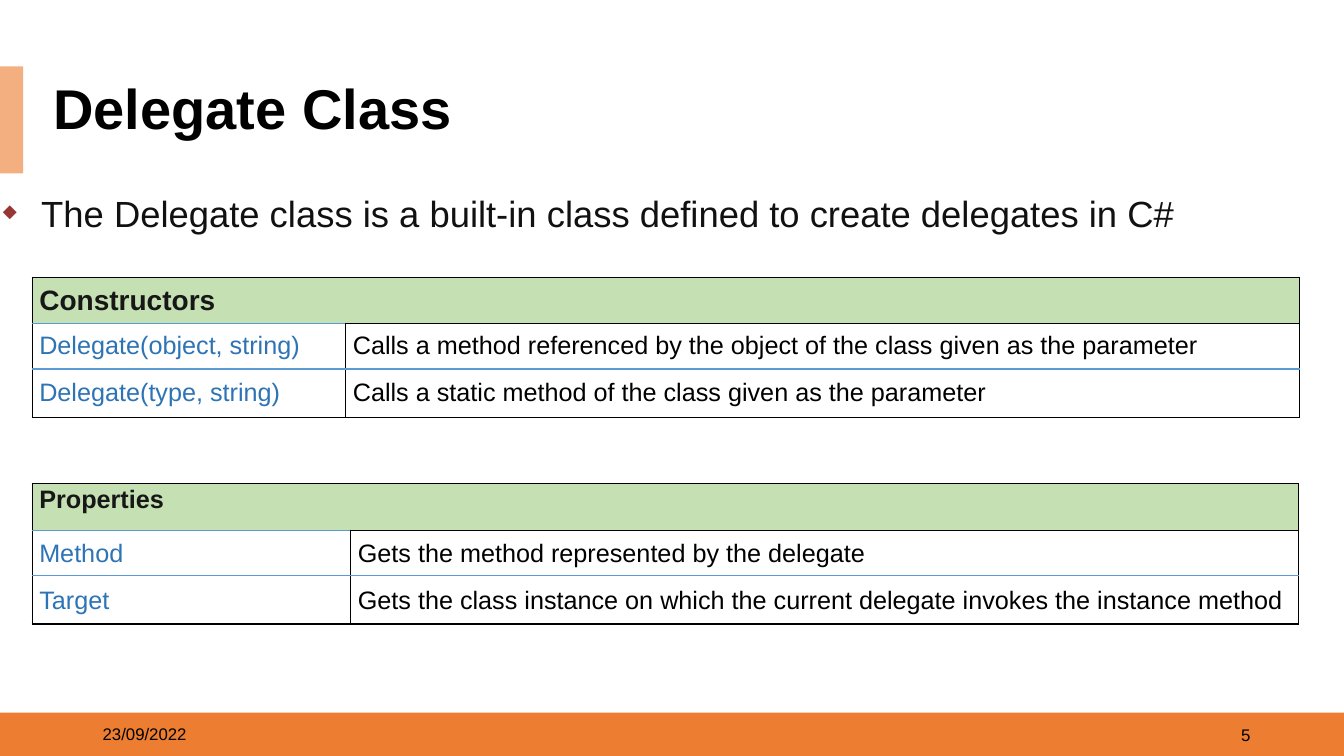
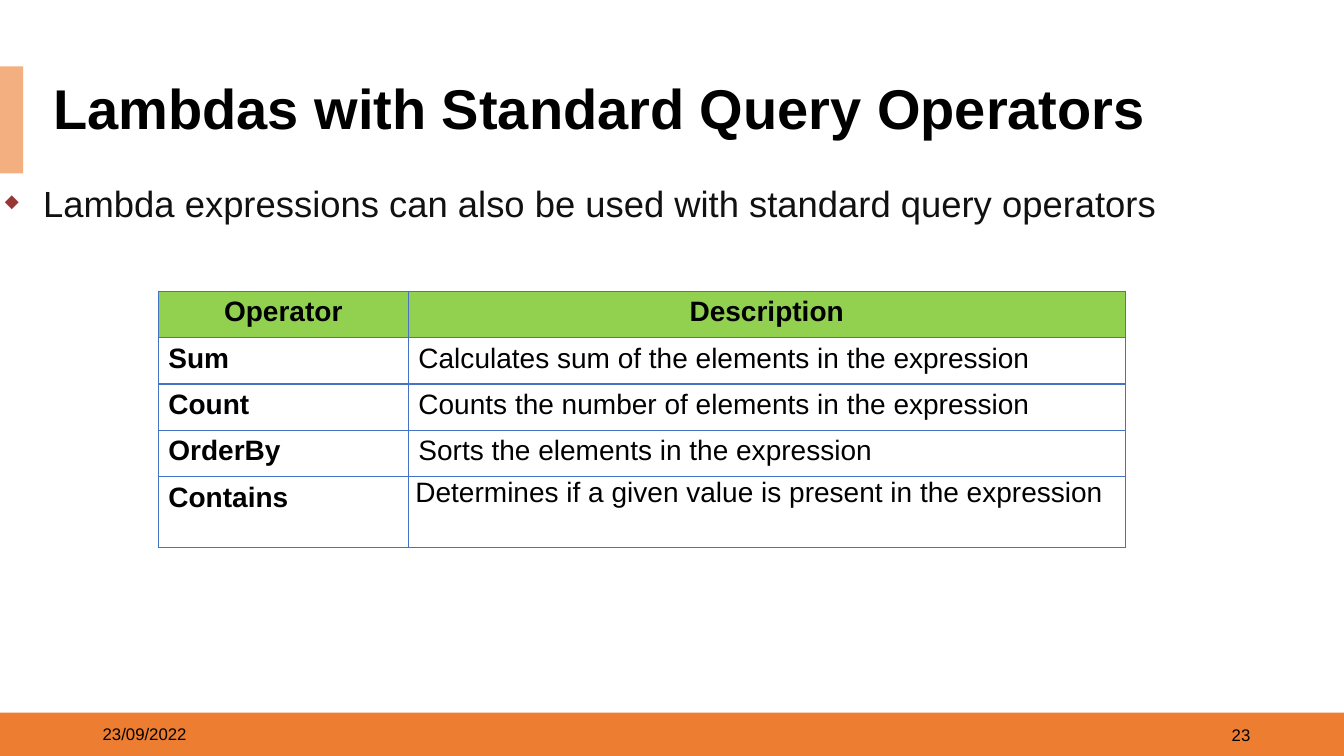
from lxml import etree
from pptx import Presentation
from pptx import util as u
from pptx.dml import color
from pptx.enum import shapes, text
from pptx.oxml import ns

Inches = u.Inches
BLACK, WHITE, INK = "000000", "FFFFFF", "111111"
BAND, ACCENT, BULLET = "ED7D31", "F4AF80", "973735"
BLUE, RULE, HEAD_INK, HEAD = "2E74B5", "5B9BD5", "171717", "C5E0B3"
GRID, GREEN = "4472C4", "92D050"
ALIGN = text.PP_ALIGN
TOP, MIDDLE = text.MSO_ANCHOR.TOP, text.MSO_ANCHOR.MIDDLE


def rgb(value):
    return color.RGBColor.from_string(value)


def write(frame, words, size, ink, bold=False, **formats):
    """Put one formatted paragraph in a text frame."""
    frame.word_wrap = True
    para = frame.paragraphs[0]
    for name, value in formats.items():
        setattr(para, name, value)
    span = para.add_run()
    span.text = words
    for name, value in {"name": "Arial", "size": u.Pt(size), "bold": bold}.items():
        setattr(span.font, name, value)
    span.font.color.rgb = rgb(ink)
    return para


# Table styles: text formats for the header and the body
narrow = {"margin_left": Inches(0.07), "margin_right": Inches(0.07),
          "margin_top": 0, "margin_bottom": 0}
loose = {"line_spacing": 1.07}
member_style = {"merge": True, "fill": HEAD, "edge": BLACK, "rule": RULE,
                "head_ink": HEAD_INK, "key_ink": BLUE, "key_bold": False,
                "size": 18, "anchor": MIDDLE, "margins": narrow}
operator_style = {"merge": False, "fill": GREEN, "edge": GRID, "rule": GRID,
                  "head_ink": BLACK, "key_ink": BLACK, "key_bold": True,
                  "head_size": 20, "size": 20, "anchor": TOP, "head_anchor": TOP,
                  "margins": {}, "head": {"alignment": ALIGN.CENTER}, "body": {}}

pages = [
    {"title": "Delegate Class", "width": 12.45, "number": "5",
     "bullet": "The Delegate class is a built-in class defined to create delegates in C#",
     "bullet_at": (-0.07, 1.63, 12.72, 0.68),
     "bullet_space": {"space_before": u.Pt(6), "space_after": u.Pt(6)},
     "tables": [
         {**member_style, "at": (0.32, 4.8), "columns": (3.16, 9.4),
          "heights": (0.46, 0.45, 0.48), "head_size": 18, "head_anchor": TOP,
          "head": loose, "body": {**loose, "space_after": u.Pt(8)},
          "rows": [("Properties", ""),
                   ("Method", "Gets the method represented by the delegate"),
                   ("Target", "Gets the class instance on which the current "
                              "delegate invokes the instance method")]},
         {**member_style, "at": (0.32, 2.75), "columns": (3.11, 9.46),
          "heights": (0.46, 0.45, 0.48), "head_size": 20, "head_anchor": MIDDLE,
          "head": {}, "body": {"alignment": ALIGN.JUSTIFY},
          "rows": [("Constructors", ""),
                   ("Delegate(object, string)", "Calls a method referenced by the "
                    "object of the class given as the parameter"),
                   ("Delegate(type, string)", "Calls a static method of the class "
                    "given as the parameter")]}]},
    {"title": "Lambdas with Standard Query Operators", "width": 12.2, "number": "23",
     "bullet": "Lambda expressions can also be used with standard query operators",
     "bullet_at": (-0.05, 1.53, 12.34, 0.69),
     "bullet_space": {"space_before": u.Pt(10)},
     "tables": [
         {**operator_style, "at": (1.57, 2.89), "columns": (2.48, 7.11),
          "heights": (0.46, 0.46, 0.46, 0.46, 0.7),
          "tight_cell": (4, 1),
          "rows": [("Operator", "Description"),
                   ("Sum", "Calculates sum of the elements in the expression"),
                   ("Count", "Counts the number of elements in the expression"),
                   ("OrderBy", "Sorts the elements in the expression"),
                   ("Contains", "Determines if a given value is present in the "
                                "expression")]}]},
]

deck = Presentation()
deck.slide_width, deck.slide_height = Inches(13.33), Inches(7.5)

for content in pages:
    page = deck.slides.add_slide(deck.slide_layouts[5])

    # Footer band and title accent
    for at, fill in (((0, 7.07, 13.33, 0.44), BAND), ((0, 0.66, 0.23, 1.06), ACCENT)):
        band = page.shapes.add_shape(shapes.MSO_SHAPE.RECTANGLE, *map(Inches, at))
        band.shadow.inherit = False
        band.fill.solid()
        band.fill.fore_color.rgb = rgb(fill)
        band.line.fill.background()

    # Date and page number
    for at, words, side in (((0.92, 7.08, 3, 0.4), "23/09/2022", ALIGN.LEFT),
                            ((9.5, 7.09, 3, 0.4), content["number"], ALIGN.RIGHT)):
        box = page.shapes.add_textbox(*map(Inches, at))
        box.text_frame.vertical_anchor = MIDDLE
        write(box.text_frame, words, 12, BLACK, alignment=side)

    # Title
    title = page.shapes.title
    place = {"left": 0.43, "top": 0.79, "width": content["width"], "height": 0.63}
    for name, value in place.items():
        setattr(title, name, Inches(value))
    title.fill.solid()
    title.fill.fore_color.rgb = rgb(WHITE)
    title.text_frame.auto_size = text.MSO_AUTO_SIZE.NONE
    title.text_frame.vertical_anchor = MIDDLE
    write(title.text_frame, content["title"], 40, BLACK, True,
          alignment=ALIGN.LEFT, line_spacing=0.9)

    # Tables
    for design in content["tables"]:
        rows, columns = design["rows"], design["columns"]
        size = sum(columns), sum(design["heights"])
        table = page.shapes.add_table(len(rows), len(columns),
                                      *map(Inches, design["at"] + size)).table
        table.first_row = table.horz_banding = False
        for column, width in zip(table.columns, columns):
            column.width = Inches(width)
        for row, height in zip(table.rows, design["heights"]):
            row.height = Inches(height)
        if design["merge"]:
            table.cell(0, 0).merge(table.cell(0, 1))

        for r, row in enumerate(rows):
            for c, words in enumerate(row):
                cell = table.cell(r, c)
                is_head = r == 0
                tight = (r, c) == design.get("tight_cell")
                margins = narrow if tight else design["margins"]
                for name, value in margins.items():
                    setattr(cell, name, value)
                cell.vertical_anchor = design["head_anchor" if is_head else "anchor"]
                cell.fill.solid()
                cell.fill.fore_color.rgb = rgb(design["fill"] if is_head else WHITE)
                if words and is_head:
                    write(cell.text_frame, words, design["head_size"],
                          design["head_ink"], True, **design["head"])
                elif words:
                    is_key = c == 0
                    write(cell.text_frame, words, design["size"],
                          design["key_ink"] if is_key else BLACK,
                          is_key and design["key_bold"], **design["body"])

                # Borders: outer edges, and the rule under the header's right part
                edge, rule = design["edge"], design["rule"]
                above = edge if r == 0 or (r, c) == (1, 1) else rule
                below = edge if r == len(rows) - 1 or (r, c) == (0, 1) else rule
                sides = (("lnL", edge), ("lnR", edge), ("lnT", above), ("lnB", below))
                properties = cell._tc.get_or_add_tcPr()
                for index, (side, ink) in enumerate(sides):
                    line = etree.Element(ns.qn("a:" + side), w=str(u.Pt(1)))
                    solid = etree.SubElement(line, ns.qn("a:solidFill"))
                    etree.SubElement(solid, ns.qn("a:srgbClr"), val=ink)
                    properties.insert(index, line)

    # Bullet line
    box = page.shapes.add_textbox(*map(Inches, content["bullet_at"]))
    box.text_frame.auto_size = text.MSO_AUTO_SIZE.SHAPE_TO_FIT_TEXT
    para = write(box.text_frame, content["bullet"], 26, INK, alignment=ALIGN.JUSTIFY,
                 line_spacing=1.5, **content["bullet_space"])
    properties = para._p.get_or_add_pPr()
    properties.set("marL", str(Inches(0.38)))
    properties.set("indent", str(-Inches(0.38)))
    bullet_color = etree.SubElement(properties, ns.qn("a:buClr"))
    etree.SubElement(bullet_color, ns.qn("a:srgbClr"), val=BULLET)
    etree.SubElement(properties, ns.qn("a:buSzPct"), val="50000")
    etree.SubElement(properties, ns.qn("a:buChar"), char="◆")

deck.save("out.pptx")
